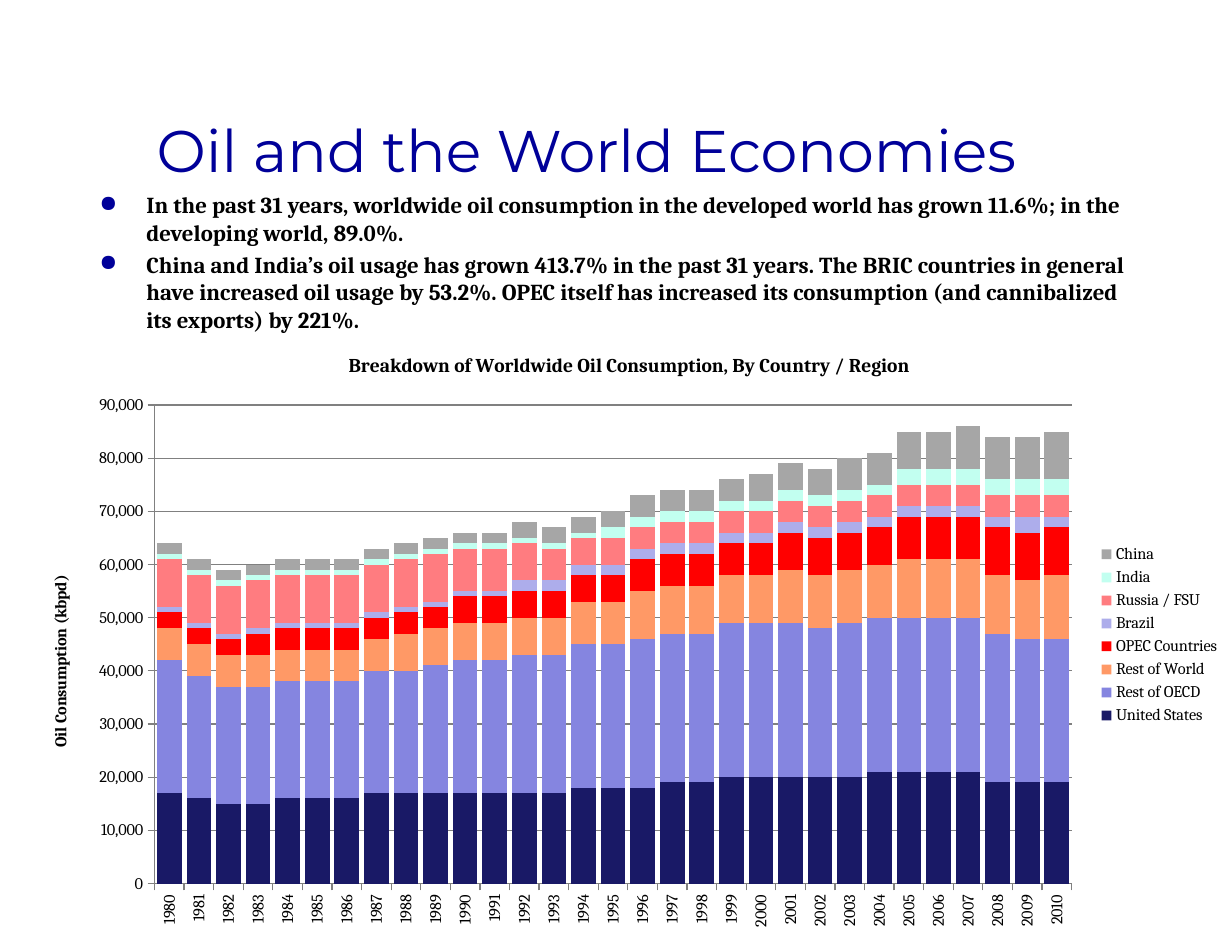
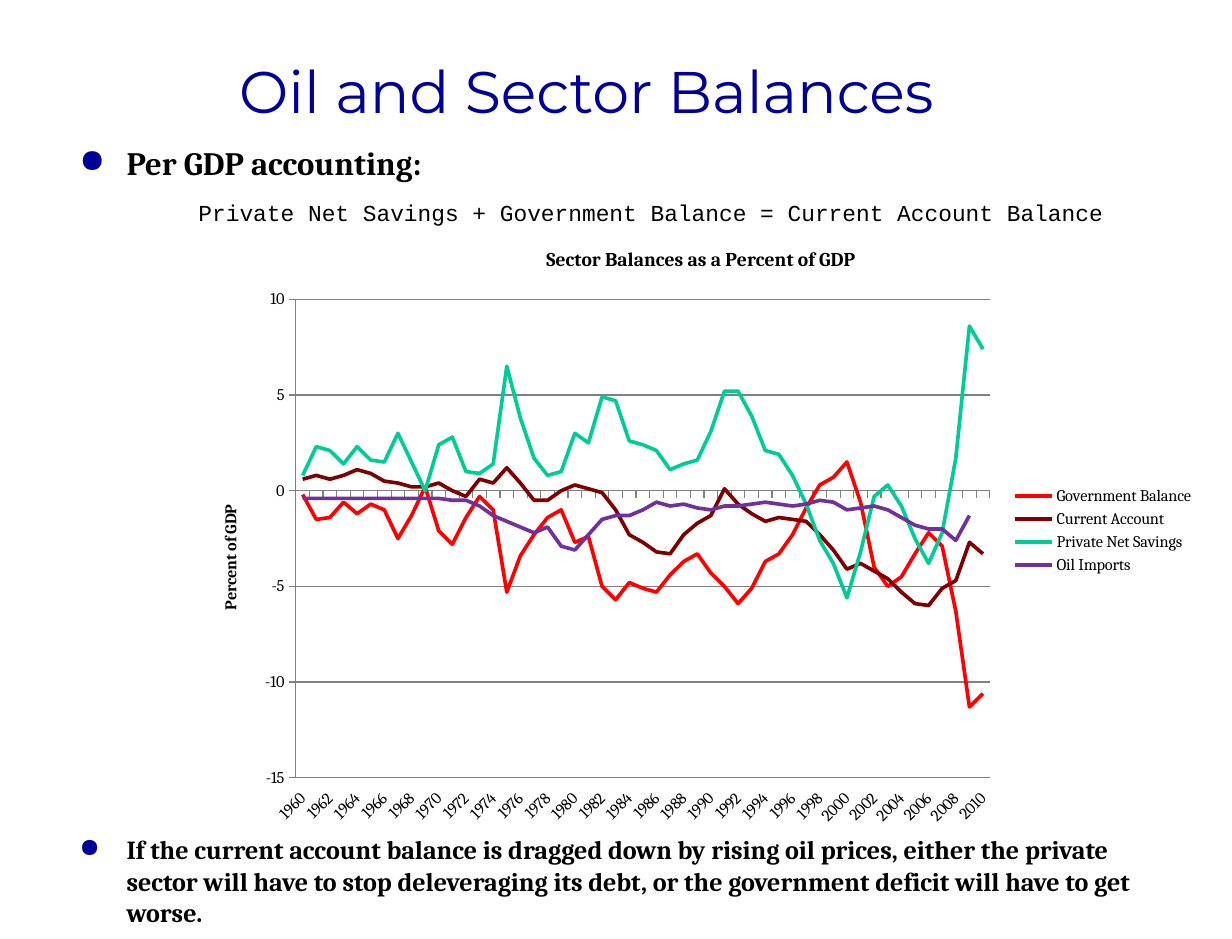
from lxml.etree import SubElement
from pptx import Presentation
from pptx.chart.data import CategoryChartData
from pptx.dml.color import RGBColor
from pptx.enum.chart import XL_CHART_TYPE, XL_LEGEND_POSITION, XL_TICK_LABEL_POSITION, XL_TICK_MARK
from pptx.enum.text import MSO_ANCHOR, PP_ALIGN
from pptx.oxml import parse_xml
from pptx.oxml.ns import nsdecls, qn
from pptx.util import Cm, Pt

NAVY = "000099"
BLACK = "000000"
WHITE = "FFFFFF"
GRAY = "808080"
TITLE_FONT = "Montserrat"
BODY_FONT = "Cambria"
CODE_FONT = "Courier New"


def color(value):
    return RGBColor.from_string(value)


def set_font(font, name, size, value, bold=False):
    font.name = name
    font.size = Pt(size)
    font.bold = bold
    font.color.rgb = color(value)


consumption = [
    ("United States", "191966",
     [17, 16, 15, 15, 16, 16, 16, 17, 17, 17, 17, 17, 17, 17, 18, 18,
      18, 19, 19, 20, 20, 20, 20, 20, 21, 21, 21, 21, 19, 19, 19]),
    ("Rest of OECD", "8585E0",
     [25, 23, 22, 22, 22, 22, 22, 23, 23, 24, 25, 25, 26, 26, 27, 27,
      28, 28, 28, 29, 29, 29, 28, 29, 29, 29, 29, 29, 28, 27, 27]),
    ("Rest of World", "FF9966",
     [6, 6, 6, 6, 6, 6, 6, 6, 7, 7, 7, 7, 7, 7, 8, 8,
      9, 9, 9, 9, 9, 10, 10, 10, 10, 11, 11, 11, 11, 11, 12]),
    ("OPEC Countries", "FF0000",
     [3, 3, 3, 4, 4, 4, 4, 4, 4, 4, 5, 5, 5, 5, 5, 5,
      6, 6, 6, 6, 6, 7, 7, 7, 7, 8, 8, 8, 9, 9, 9]),
    ("Brazil", "ADADEB", [1] * 12 + [2] * 17 + [3, 2]),
    ("Russia / FSU", "FF7C80", [9] * 10 + [8, 8, 7, 6, 5, 5] + [4] * 15),
    ("India", "C2FFF0", [1] * 15 + [2] * 10 + [3] * 6),
    ("China", "A6A6A6",
     [2] * 12 + [3] * 4 + [4] * 4 + [5, 5, 5, 6, 6, 7, 7, 8, 8, 8, 9]),
]
consumption = [(name, fill, [value * 1000 for value in values]) for name, fill, values in consumption]

balances = [
    ("Government Balance", "FF0000",
     [-0.2, -1.5, -1.4, -0.6, -1.2, -0.7, -1, -2.5, -1.3, 0.2, -2.1, -2.8, -1.4, -0.3, -1, -5.3, -3.4,
      -2.3, -1.4, -1, -2.7, -2.4, -5, -5.7, -4.8, -5.1, -5.3, -4.4, -3.7, -3.3, -4.3, -5, -5.9, -5.1,
      -3.7, -3.3, -2.3, -0.9, 0.3, 0.7, 1.5, -0.6, -4, -5, -4.5, -3.3, -2.2, -2.9, -6.3, -11.3, -10.6]),
    ("Current Account", "800000",
     [0.6, 0.8, 0.6, 0.8, 1.1, 0.9, 0.5, 0.4, 0.2, 0.2, 0.4, 0, -0.3, 0.6, 0.4, 1.2, 0.4,
      -0.5, -0.5, 0, 0.3, 0.1, -0.1, -1, -2.3, -2.7, -3.2, -3.3, -2.3, -1.7, -1.3, 0.1, -0.7, -1.2,
      -1.6, -1.4, -1.5, -1.6, -2.3, -3.1, -4.1, -3.8, -4.2, -4.6, -5.3, -5.9, -6, -5.1, -4.7, -2.7, -3.3]),
    ("Private Net Savings", "00CC99",
     [0.8, 2.3, 2.1, 1.4, 2.3, 1.6, 1.5, 3, 1.5, 0, 2.4, 2.8, 1, 0.9, 1.4, 6.5, 3.8,
      1.7, 0.8, 1, 3, 2.5, 4.9, 4.7, 2.6, 2.4, 2.1, 1.1, 1.4, 1.6, 3.1, 5.2, 5.2, 3.9,
      2.1, 1.9, 0.8, -0.7, -2.6, -3.8, -5.6, -3.2, -0.3, 0.3, -0.8, -2.5, -3.8, -2.2, 1.7, 8.6, 7.4]),
    ("Oil Imports", "7030A0",
     [-0.4, -0.4, -0.4, -0.4, -0.4, -0.4, -0.4, -0.4, -0.4, -0.4, -0.4, -0.5, -0.5, -0.8, -1.3, -1.6, -1.9,
      -2.2, -1.9, -2.9, -3.1, -2.3, -1.5, -1.3, -1.3, -1, -0.6, -0.8, -0.7, -0.9, -1, -0.8, -0.8, -0.7,
      -0.6, -0.7, -0.8, -0.7, -0.5, -0.6, -1, -0.9, -0.8, -1, -1.4, -1.8, -2, -2, -2.6, -1.3, None]),
]

pages = [
    {
        "title": "Oil and the World Economies",
        "title_top": 1.7,
        "body_at": (1.9, 4.01, 22.86, 12.27),
        "body": [
            ("In the past 31 years, worldwide oil consumption in the developed world has grown 11.6%; "
             "in the developing world, 89.0%.", 14, BODY_FONT, 0),
            ("China and India’s oil usage has grown 413.7% in the past 31 years. The BRIC countries in "
             "general have increased oil usage by 53.2%. OPEC itself has increased its consumption "
             "(and cannibalized its exports) by 221%.", 14, BODY_FONT, 2.8),
        ],
        "chart_at": (0.58, 7.16, 26.09, 13.16),
        "plot": {"x": 0.106, "y": 0.122, "w": 0.761, "h": 0.787},
        "chart_type": XL_CHART_TYPE.COLUMN_STACKED,
        "chart_title": "Breakdown of Worldwide Oil Consumption, By Country / Region",
        "axis_title": "Oil Consumption (kbpd)",
        "scale": (0, 90000, 10000),
        "format": "#,##0",
        "years": range(1980, 2011),
        "label_angle": -90,
        "series": consumption,
    },
    {
        "title": "Oil and Sector Balances",
        "title_top": 0.43,
        "body_at": (1.47, 2.97, 23.93, 16.71),
        "body": [
            ("Per GDP accounting:", 20, BODY_FONT, 0),
            ("Private Net Savings + Government Balance = Current Account Balance", 14, CODE_FONT, 10),
            ("If the current account balance is dragged down by rising oil prices, either the private "
             "sector will have to stop deleveraging its debt, or the government deficit will have to "
             "get worse.", 16, BODY_FONT, 373),
        ],
        "chart_at": (4.24, 4.88, 21.87, 13.21),
        "plot": {"x": 0.099, "y": 0.121, "w": 0.687, "h": 0.784},
        "chart_type": XL_CHART_TYPE.LINE,
        "chart_title": "Sector Balances as a Percent of GDP",
        "axis_title": "Percent of GDP",
        "scale": (-15, 10, 5),
        "format": "General",
        "years": range(1960, 2011),
        "label_angle": -45,
        "series": balances,
    },
]

deck = Presentation()
deck.slide_width = Cm(26.67)
deck.slide_height = Cm(20.32)

for content in pages:
    page = deck.slides.add_slide(deck.slide_layouts[6])
    page.background.fill.solid()
    page.background.fill.fore_color.rgb = color(WHITE)

    title_box = page.shapes.add_textbox(Cm(1.9), Cm(content["title_top"]), Cm(21.59), Cm(3.18))
    title_box.fill.solid()
    title_box.fill.fore_color.rgb = color(WHITE)
    title_box.text_frame.word_wrap = True
    title_box.text_frame.vertical_anchor = MSO_ANCHOR.MIDDLE
    para = title_box.text_frame.paragraphs[0]
    para.text = content["title"]
    para.alignment = PP_ALIGN.CENTER
    para.line_spacing = 0.95
    set_font(para.font, TITLE_FONT, 36, NAVY)

    body_box = page.shapes.add_textbox(*[Cm(length) for length in content["body_at"]])
    body_box.text_frame.word_wrap = True
    for index, (text, size, font_name, space) in enumerate(content["body"]):
        para = body_box.text_frame.paragraphs[0] if index == 0 else body_box.text_frame.add_paragraph()
        para.text = text
        properties = para._p.get_or_add_pPr()
        is_formula = font_name == CODE_FONT
        if is_formula:
            para.alignment = PP_ALIGN.CENTER
            margin, indent = 2.18, -0.84
            SubElement(properties, qn("a:buNone"))
        else:
            margin, indent = 1.02, -1.02
            bullet_color = SubElement(properties, qn("a:buClr"))
            SubElement(bullet_color, qn("a:srgbClr"), val=NAVY)
            SubElement(properties, qn("a:buChar"), char="●")
        properties.set("marL", str(Cm(margin)))
        properties.set("indent", str(Cm(indent)))
        para.space_before = Pt(space)
        set_font(para.font, font_name, size, BLACK, not is_formula)

    data = CategoryChartData(number_format=content["format"])
    data.categories = [str(year) for year in content["years"]]
    for name, _, values in content["series"]:
        data.add_series(name, values)
    frame = page.shapes.add_chart(
        content["chart_type"], *[Cm(length) for length in content["chart_at"]], data)
    chart = frame.chart
    set_font(chart.font, BODY_FONT, 10, BLACK)
    chart.chart_title.text_frame.text = content["chart_title"]
    set_font(chart.chart_title.text_frame.paragraphs[0].font, BODY_FONT, 12, BLACK, True)
    chart.chart_title.include_in_layout = False
    chart.has_legend = True
    chart.legend.position = XL_LEGEND_POSITION.RIGHT
    chart.legend.include_in_layout = False

    plot_area = chart._chartSpace.chart.plotArea
    for old_layout in plot_area.findall(qn("c:layout")):
        plot_area.remove(old_layout)
    edges = "".join(f'<c:{side} val="{share}"/>' for side, share in content["plot"].items())
    plot_area.insert(0, parse_xml(
        f'<c:layout {nsdecls("c")}><c:manualLayout><c:layoutTarget val="inner"/>'
        f'<c:xMode val="edge"/><c:yMode val="edge"/>{edges}</c:manualLayout></c:layout>'))

    years_axis, value_axis = chart.category_axis, chart.value_axis
    for axis in (years_axis, value_axis):
        axis.major_tick_mark = XL_TICK_MARK.OUTSIDE
        axis.minor_tick_mark = XL_TICK_MARK.NONE
        axis.format.line.color.rgb = color(GRAY)
        set_font(axis.tick_labels.font, BODY_FONT, 10, BLACK)
    years_axis.has_major_gridlines = False
    years_axis.tick_label_position = XL_TICK_LABEL_POSITION.LOW
    label_body = years_axis._element.find(qn("c:txPr")).find(qn("a:bodyPr"))
    label_body.set("rot", str(content["label_angle"] * 60000))
    label_body.set("vert", "horz")

    value_axis.minimum_scale, value_axis.maximum_scale, value_axis.major_unit = content["scale"]
    value_axis.has_major_gridlines = True
    value_axis.major_gridlines.format.line.color.rgb = color(GRAY)
    value_axis.tick_labels.number_format = content["format"]
    value_axis.tick_labels.number_format_is_linked = False
    axis_text = value_axis.axis_title.text_frame
    axis_text.text = content["axis_title"]
    set_font(axis_text.paragraphs[0].font, BODY_FONT, 10, BLACK, True)
    axis_text._txBody.find(qn("a:bodyPr")).set("rot", str(-90 * 60000))

    plot = chart.plots[0]
    plot.vary_by_categories = False
    is_stacked = content["chart_type"] == XL_CHART_TYPE.COLUMN_STACKED
    if is_stacked:
        plot.gap_width = 20
        plot.overlap = 100
    for series, (_, series_color, _) in zip(plot.series, content["series"]):
        if is_stacked:
            series.format.fill.solid()
            series.format.fill.fore_color.rgb = color(series_color)
        else:
            series.format.line.color.rgb = color(series_color)
            series.format.line.width = Pt(2.25)
            series.smooth = False

deck.save("out.pptx")
